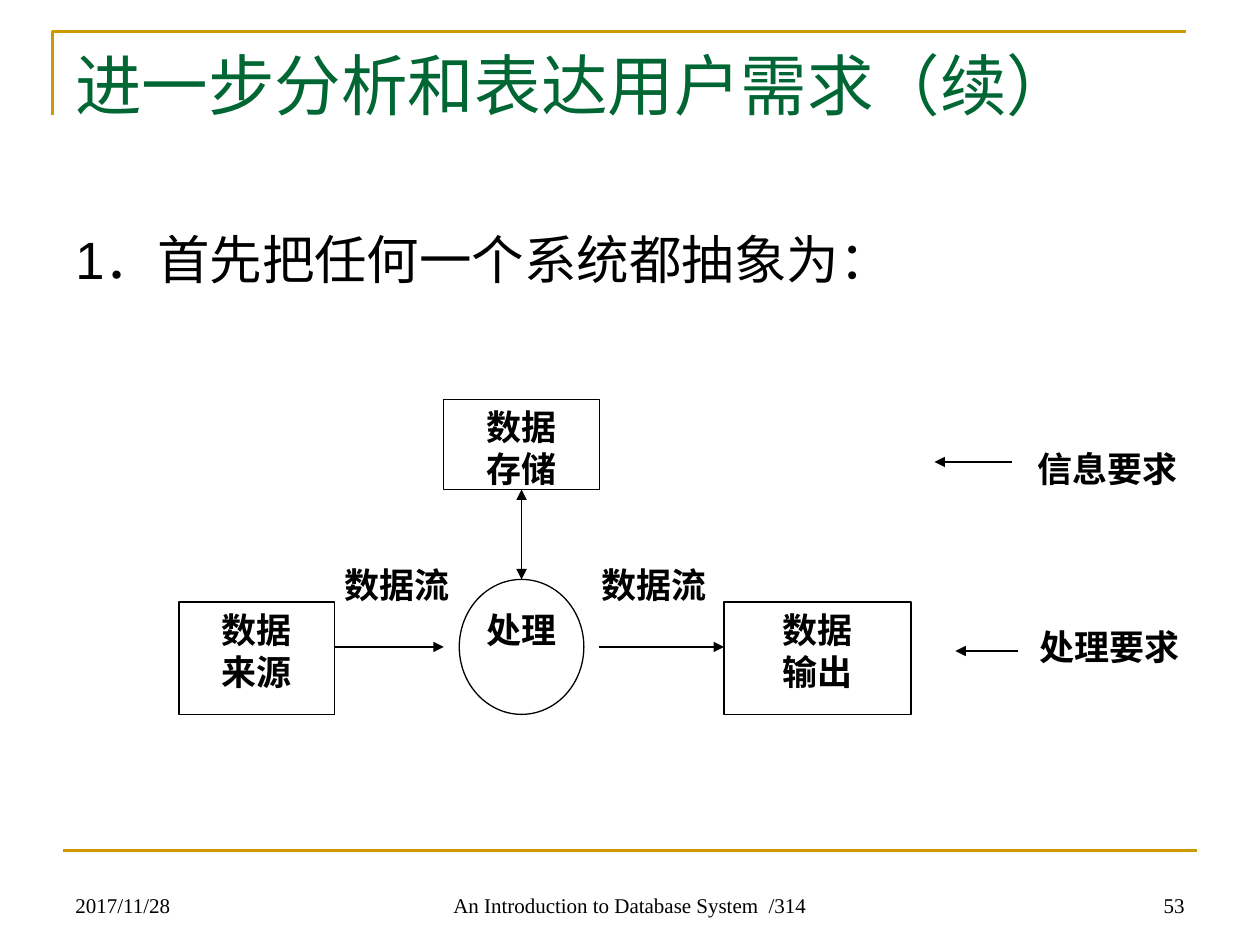
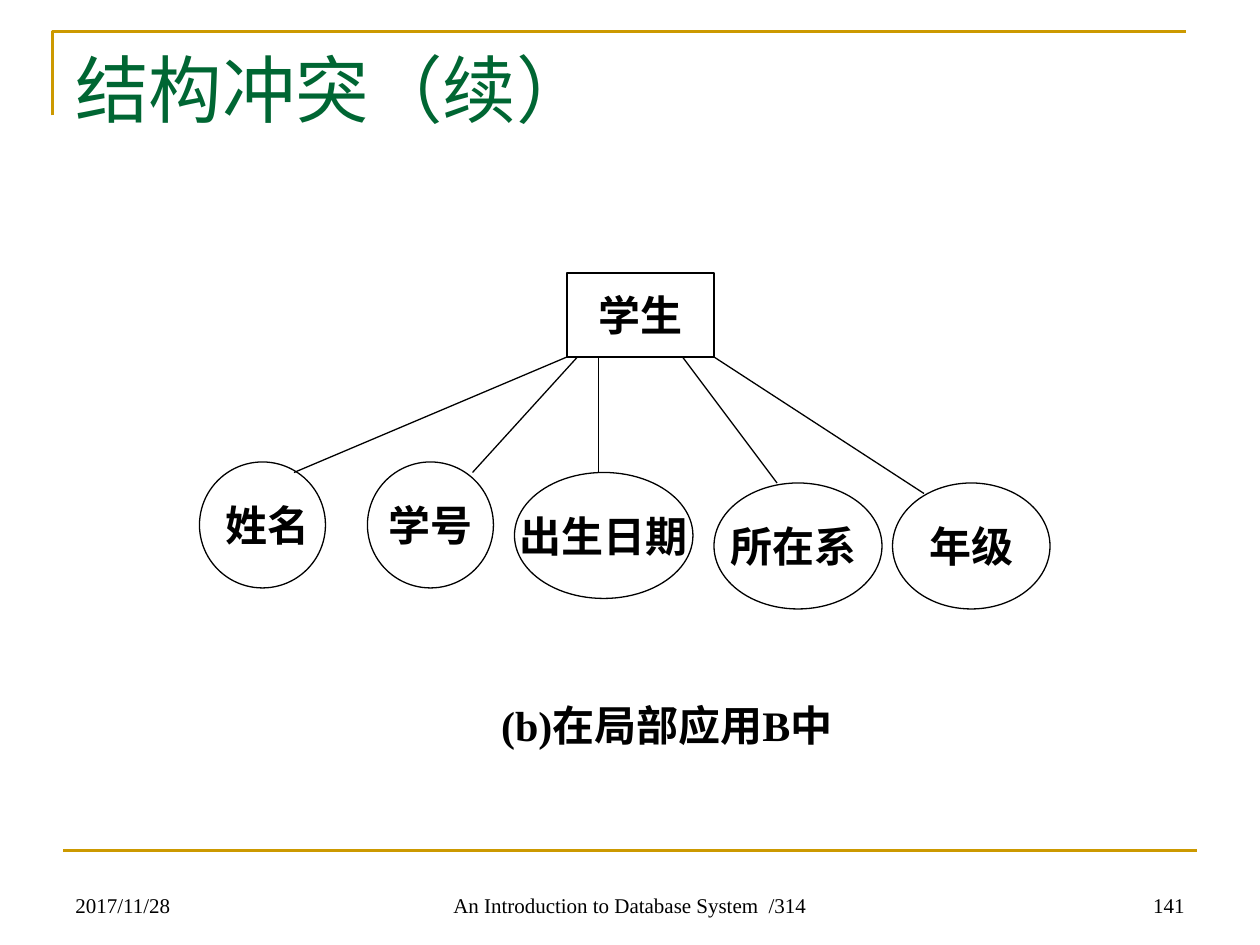
from dataclasses import dataclass

from lxml import etree
from pptx import Presentation
from pptx import util as u
from pptx.dml.color import RGBColor
from pptx.enum import shapes, text
from pptx.oxml import ns


@dataclass(frozen=True)
class Theme:
    """Colours, fonts and type sizes shared by the slides."""
    gold: RGBColor = RGBColor(0xCC, 0x99, 0x00)
    green: RGBColor = RGBColor(0x00, 0x66, 0x33)
    black: RGBColor = RGBColor(0, 0, 0)
    serif: str = "Times New Roman"
    sans: str = "Arial"
    body_size: int = 30
    entity_size: int = 24
    flow_size: int = 20
    footer_size: int = 12
    rule_width: float = 1.5
    line_width: float = 0.75


@dataclass(frozen=True)
class Grid:
    """A box in inches divided into equal columns and rows."""
    left: float
    top: float
    width: float
    height: float
    columns: int
    rows: int

    def point(self, column, row):
        """Return the slide position of a grid crossing."""
        return (u.Inches(self.left + self.width * column / self.columns),
                u.Inches(self.top + self.height * row / self.rows))

    def place(self, column, row, columns, rows):
        """Return left, top, width and height of a grid area."""
        left, top = self.point(column, row)
        right, bottom = self.point(column + columns, row + rows)
        return left, top, right - left, bottom - top


THEME = Theme()
PAGE = Grid(0, 0, 10, 7.5, 120, 90)
FLOW = Grid(1.42, 3.17, 5.81, 2.5, 47, 14)
RECTANGLE = shapes.MSO_SHAPE.RECTANGLE
OVAL = shapes.MSO_SHAPE.OVAL
LEFT, CENTER, RIGHT = text.PP_ALIGN.LEFT, text.PP_ALIGN.CENTER, text.PP_ALIGN.RIGHT
TOP, MIDDLE, BOTTOM = text.MSO_ANCHOR.TOP, text.MSO_ANCHOR.MIDDLE, text.MSO_ANCHOR.BOTTOM


def write(shape, words, size, color=THEME.black, font=THEME.serif, bold=False,
          align=LEFT, anchor=TOP, wrap=True, side=0.1):
    """Fill a shape with formatted text."""
    frame = shape.text_frame
    frame.text = words
    frame.word_wrap = wrap
    frame.vertical_anchor = anchor
    frame.margin_left = frame.margin_right = u.Inches(side)
    frame.margin_top = frame.margin_bottom = u.Inches(0.05)
    for paragraph in frame.paragraphs:
        paragraph.alignment = align
        for run in paragraph.runs:
            run.font.name = font
            run.font.size = u.Pt(size)
            run.font.bold = bold
            run.font.color.rgb = color


def add_label(slide, grid, area, words, size, **style):
    """Add a text box on a grid area."""
    write(slide.shapes.add_textbox(*grid.place(*area)), words, size, **style)


def add_outline(slide, grid, kind, area):
    """Add an unfilled preset shape with a thin black line."""
    shape = slide.shapes.add_shape(kind, *grid.place(*area))
    shape.shadow.inherit = False
    shape.fill.background()
    shape.line.color.rgb = THEME.black
    shape.line.width = u.Pt(THEME.line_width)
    return shape


def add_line(slide, grid, start, end, color=THEME.black, width=THEME.line_width, arrows=()):
    """Add a straight line, with arrowheads at the named ends."""
    line = slide.shapes.add_connector(
        shapes.MSO_CONNECTOR.STRAIGHT, *grid.point(*start), *grid.point(*end))
    line.line.color.rgb = color
    line.line.width = u.Pt(width)
    for arrow in arrows:
        etree.SubElement(line.line._get_or_add_ln(), ns.qn(f"a:{arrow}"), type="triangle")
    etree.SubElement(line._element.spPr, ns.qn("a:effectLst"))


def add_frame(slide):
    """Draw the gold corner and the gold rule above the footer."""
    builder = slide.shapes.build_freeform(*PAGE.point(5, 11))
    builder.add_line_segments([PAGE.point(5, 3), PAGE.point(113, 3)], close=False)
    corner = builder.convert_to_shape()
    corner.shadow.inherit = False
    corner.fill.background()
    corner.line.color.rgb = THEME.gold
    corner.line.width = u.Pt(THEME.rule_width)
    add_line(slide, PAGE, (6, 81), (114, 81), THEME.gold, THEME.rule_width)


def add_footer(slide, number):
    """Write the date, the course name and the slide number."""
    for column, columns, words, align in (
            (6, 28, "2017/11/28", LEFT),
            (41, 38, "An Introduction to Database System  /314", CENTER),
            (86, 28, str(number), RIGHT)):
        add_label(slide, PAGE, (column, 82, columns, 6), words, THEME.footer_size,
                  align=align, anchor=BOTTOM)


def add_page(presentation, title, title_size, number):
    """Add a blank slide with frame, title and footer."""
    slide = presentation.slides.add_slide(presentation.slide_layouts[6])
    add_frame(slide)
    add_label(slide, PAGE, (6, 3.6, 108, 15), title, title_size, color=THEME.green)
    add_footer(slide, number)
    return slide


def add_data_flow(slide, grid):
    """Draw source, process, store and output joined by data flows."""
    style = dict(size=THEME.flow_size, bold=True, align=CENTER, side=0)
    for area, words in (((17, 0, 10, 4), "数据\n存储"),
                        ((0, 9, 10, 5), "数据\n来源"),
                        ((35, 9, 12, 5), "数据\n输出")):
        write(add_outline(slide, grid, RECTANGLE, area), words, **style)
    add_outline(slide, grid, OVAL, (18, 8, 8, 6))
    for area, words in (((19, 9, 6, 3), "处理"),
                        ((10, 7, 8, 4), "数据流"),
                        ((26, 7, 9, 4), "数据流")):
        add_label(slide, grid, area, words, **style)
    add_line(slide, grid, (10, 11), (17, 11), arrows=["tailEnd"])
    add_line(slide, grid, (27, 11), (35, 11), arrows=["tailEnd"])
    add_line(slide, grid, (22, 4), (22, 8), arrows=["headEnd", "tailEnd"])


def add_requirements(slide, grid):
    """Place the two requirements with arrows pointing at the diagram."""
    for words, column, row, start, end, level in (
            ("信息要求", 98, 42, 96.4, 89, 44),
            ("处理要求", 98.2, 59, 97, 91, 62)):
        add_label(slide, grid, (column, row, 15, 8), words, THEME.flow_size,
                  bold=True, align=CENTER, side=0)
        add_line(slide, grid, (start, level), (end, level), arrows=["tailEnd"])


def add_entity_diagram(slide, grid):
    """Draw the student entity, its attributes and the caption."""
    style = dict(size=THEME.entity_size, bold=True, align=CENTER, anchor=MIDDLE, wrap=False)
    write(add_outline(slide, grid, RECTANGLE, (54, 26, 14, 8)), "学生", **style)
    for words, column, row, columns, start, end in (
            (" 姓名", 19, 44, 12, 54, (28, 45)),
            ("学号", 35, 44, 12, 55, (45, 45)),
            ("出生日期", 49, 45, 17, 57, (57, 45)),
            ("所在系 ", 68, 46, 16, 65, (74, 46)),
            ("年级", 85, 46, 15, 68, (88, 47))):
        write(add_outline(slide, grid, OVAL, (column, row, columns, 12)), words, **style)
        add_line(slide, grid, (start, 34), end)
    add_label(slide, grid, (44, 65, 39, 8), "(b)在局部应用B中", **style)


def main():
    """Build and save the two slides."""
    presentation = Presentation()
    presentation.slide_width = u.Inches(PAGE.width)
    presentation.slide_height = u.Inches(PAGE.height)

    slide = add_page(presentation, "进一步分析和表达用户需求（续）", 38, 53)
    add_label(slide, PAGE, (6, 21, 108, 59.4), "1．首先把任何一个系统都抽象为：",
              THEME.body_size, font=THEME.sans)
    add_data_flow(slide, FLOW)
    add_requirements(slide, PAGE)

    slide = add_page(presentation, "结构冲突（续）", 42, 141)
    add_entity_diagram(slide, PAGE)

    presentation.save("out.pptx")


if __name__ == "__main__":
    main()
